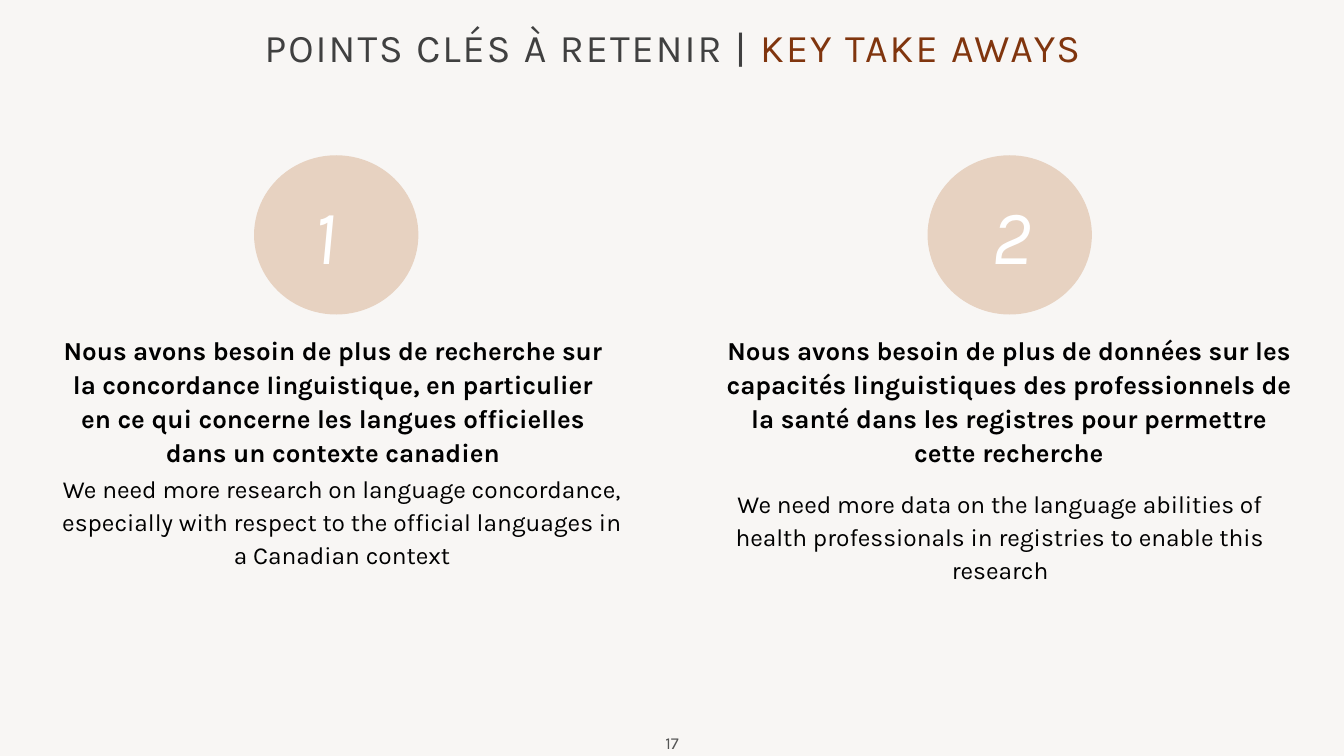
from pptx import Presentation
from pptx.dml.color import RGBColor
from pptx.enum.shapes import MSO_SHAPE
from pptx.enum.text import MSO_ANCHOR, MSO_AUTO_SIZE, PP_ALIGN
from pptx.util import Inches, Pt

OVAL = MSO_SHAPE.OVAL
TOP, MIDDLE = MSO_ANCHOR.TOP, MSO_ANCHOR.MIDDLE
LEFT, CENTER = PP_ALIGN.LEFT, PP_ALIGN.CENTER
NO_FIT = MSO_AUTO_SIZE.NONE

COLORS = {"bg": "F8F6F4", "title": "404040", "accent": "80350E", "text": "000000",
          "page": "545454", "circle": "E7D2C1", "number": "FFFFFF"}

prs = Presentation()
prs.slide_width, prs.slide_height = Inches(13.33), Inches(7.5)
s = prs.slides.add_slide(prs.slide_layouts[5])
s.background.fill.solid()
s.background.fill.fore_color.rgb = RGBColor.from_string(COLORS["bg"])


def write(sp, runs, align=CENTER, spacing=None, anchor=TOP, insets=(0, 0)):
    """Fill a shape with one paragraph; runs are (text, colour name, font values)."""
    tf = sp.text_frame
    side, edge = (Inches(n) for n in insets)
    frame = {"word_wrap": True, "auto_size": NO_FIT, "vertical_anchor": anchor,
             "margin_left": side, "margin_right": side,
             "margin_top": edge, "margin_bottom": edge}
    for name, value in frame.items():
        setattr(tf, name, value)
    p = tf.paragraphs[0]
    p.alignment, p.line_spacing = align, spacing
    for text, color, values in runs:
        r = p.add_run()
        r.text = text
        for name, value in {"name": "Karla", **values}.items():
            setattr(r.font, name, value)
        r.font.color.rgb = RGBColor.from_string(COLORS[color])


def add_text(box, runs, **layout):
    write(s.shapes.add_textbox(*(Inches(n) for n in box)), runs, **layout)


# Title
title = s.shapes.title
title.left, title.top, title.width, title.height = (Inches(n) for n in (2.36, 0.28, 8.62, 0.43))
write(title, [("POINTS CLÉS À RETENIR | ", "title", {"size": Pt(28)}),
              ("KEY TAKE AWAYS", "accent", {"size": Pt(28)})], spacing=0.9)
for r in title.text_frame.paragraphs[0].runs:
    r.font._element.set("spc", "150")

# Two takeaways: circle left, number left, French and English boxes with their text
bold = {"size": Pt(18.5), "bold": True}
takeaways = [
    (2.52, 3.01, (0.58, 3.29, 5.44, 1.33),
     [("Nous avons besoin de plus de recherche sur la concordance ", "text", bold),
      ("linguistique", "text", {**bold, "size": Pt(18)}),
      (", en particulier en ce qui concerne les langues officielles dans un contexte canadien",
       "text", bold)],
     (0.58, 4.67, 5.63, 0.96),
     "We need more research on language concordance, especially with respect to "
     "the official languages in a Canadian context"),
    (9.2, 9.74, (7.14, 3.29, 5.73, 1.33),
     [("Nous avons besoin de plus de données sur les capacités linguistiques des "
       "professionnels de la santé dans les registres pour permettre cette recherche",
       "text", bold)],
     (6.98, 4.82, 5.88, 0.63),
     "We need more data on the language abilities of health professionals in "
     "registries to enable this research"),
]
for i, (circle_x, number_x, fr_box, french, en_box, english) in enumerate(takeaways, 1):
    circle = s.shapes.add_shape(OVAL, Inches(circle_x), Inches(1.54), Inches(1.63), Inches(1.58))
    circle.shadow.inherit = False
    circle.fill.solid()
    circle.fill.fore_color.rgb = RGBColor.from_string(COLORS["circle"])
    circle.line.fill.background()
    add_text((number_x, 1.81, 0.57, 1.03),
             [(str(i), "number", {"size": Pt(55), "italic": True})],
             align=LEFT, insets=(0.1, 0.05))
    add_text(fr_box, french, spacing=Pt(24.3))
    add_text(en_box, [(english, "text", {"size": Pt(17.5)})], spacing=Pt(23.4))

# Page number
add_text((6.5, 7.23, 0.33, 0.27), [("17", "page", {"size": Pt(12)})],
         anchor=MIDDLE, insets=(0.07, 0.03))

prs.save("out.pptx")
